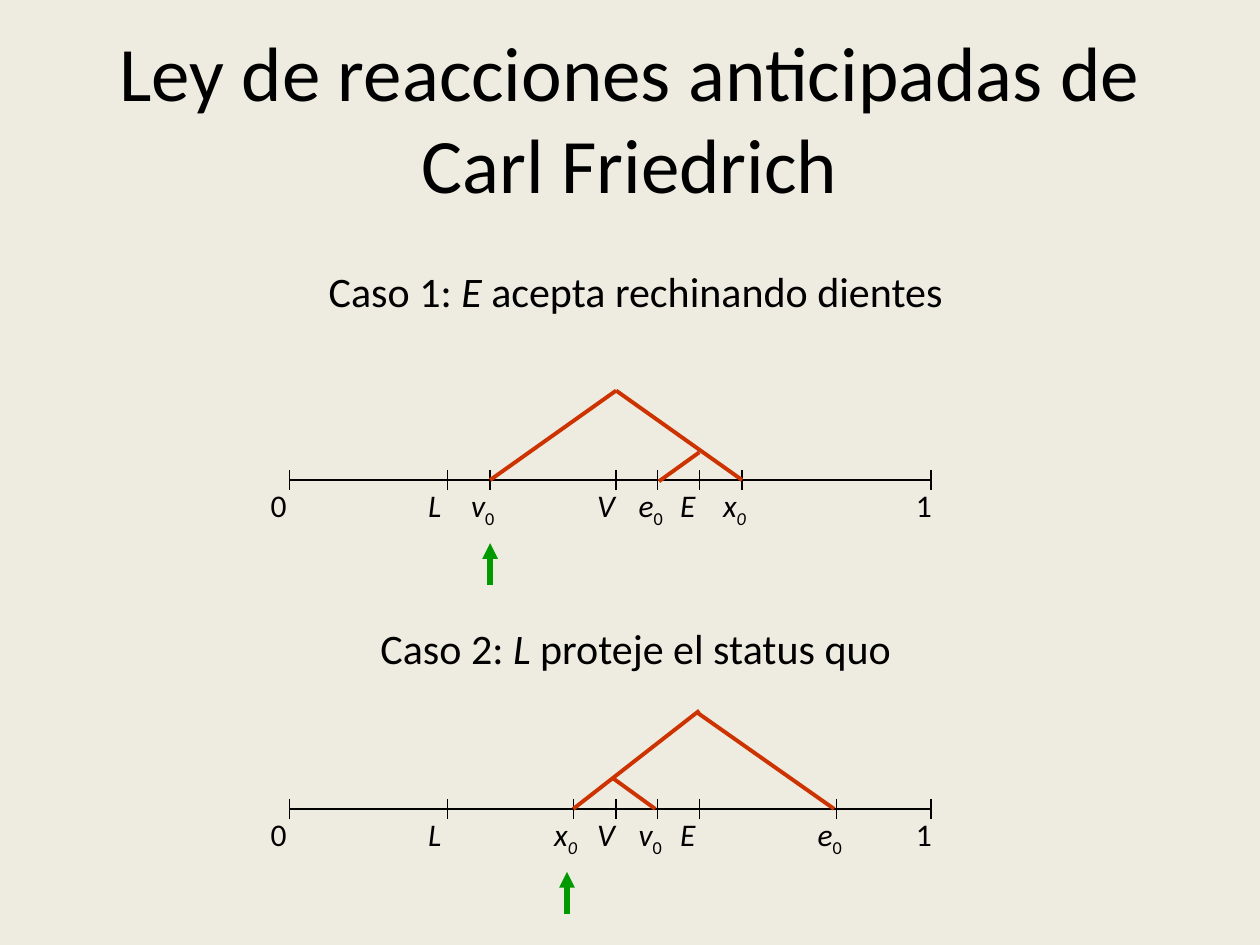
from lxml.etree import SubElement
from pptx import Presentation
from pptx.dml.color import RGBColor
from pptx.enum.shapes import MSO_CONNECTOR
from pptx.enum.text import MSO_ANCHOR, PP_ALIGN
from pptx.oxml.ns import qn
from pptx.util import Inches, Pt

INK = "000000"
RED = "CC3300"
GREEN = "009900"
PAPER = "EEECE1"
FONT = "Calibri"
START, END = 2.3, 7.39
TICK = 0.08


def color(code):
    """Turn a hex string into a colour."""
    return RGBColor.from_string(code)


def add_line(shapes, start, end, code, width, arrow=False):
    """Draw a straight line, with an arrowhead at its end if asked."""
    line = shapes.add_connector(
        MSO_CONNECTOR.STRAIGHT, *[Inches(n) for n in (*start, *end)]
    )
    line.line.color.rgb = color(code)
    line.line.width = Pt(width)
    props = line._element.spPr
    if arrow:
        SubElement(props.find(qn("a:ln")), qn("a:tailEnd"), type="triangle")
    SubElement(props, qn("a:effectLst"))


def add_text(shapes, box, parts, size, align=PP_ALIGN.LEFT, anchor=MSO_ANCHOR.TOP):
    """Write one paragraph from (text, italic, subscript) parts."""
    frame = shapes.add_textbox(*[Inches(n) for n in box]).text_frame
    frame.word_wrap = True
    frame.vertical_anchor = anchor
    para = frame.paragraphs[0]
    para.alignment = align
    for text, italic, sub in parts:
        run = para.add_run()
        run.text = text
        run.font.name = FONT
        run.font.size = Pt(size)
        run.font.italic = italic
        run.font.color.rgb = color(INK)
        if sub:
            run._r.get_or_add_rPr().set("baseline", "-25000")


def add_mark(shapes, x, y, name, shift=0.25):
    """Put a tick on the axis with its label, such as V or e0, below."""
    add_line(shapes, (x, y - TICK), (x, y + TICK), INK, 0.75)
    parts = [(name[0], name.isalnum() and not name.isdigit(), False)]
    if len(name) > 1:
        parts.append((name[1:], name[0] == "x", True))
    add_text(shapes, (x - shift, y, 0.5, 0.4), parts, 18)


def add_axis(slide, y, marks, sides, arrow):
    """Group an axis with its marks, red sides and green arrow."""
    shapes = slide.shapes.add_group_shape().shapes
    add_line(shapes, (START, y), (END, y), INK, 1.5)
    add_mark(shapes, START, y, "0")
    add_mark(shapes, END, y, "1", 0.22)
    for name, x in marks.items():
        add_mark(shapes, x, y, name)
    for start, end in sides:
        add_line(shapes, start, end, RED, 2.25)
    add_line(shapes, (arrow, y + 0.83), (arrow, y + 0.5), GREEN, 3, True)


def add_case(slide, y, lead, actor, rest):
    """Write the centred heading of a case."""
    parts = [(lead, False, False), (actor, True, False), (rest, False, False)]
    add_text(slide.shapes, (1.17, y, 7.75, 0.5), parts, 24, PP_ALIGN.CENTER)


def main():
    """Build the slide and save it."""
    deck = Presentation()
    deck.slide_width, deck.slide_height = Inches(10), Inches(7.5)
    slide = deck.slides.add_slide(deck.slide_layouts[6])
    slide.background.fill.solid()
    slide.background.fill.fore_color.rgb = color(PAPER)

    title = "Ley de reacciones anticipadas de Carl Friedrich"
    add_text(slide.shapes, (0.5, 0.3, 9, 1.25), [(title, False, False)], 44,
             PP_ALIGN.CENTER, MSO_ANCHOR.MIDDLE)

    fixed = {"L": 3.55, "V": 4.89, "E": 5.55}
    add_case(slide, 2.06, "Caso 1: ", "E", " acepta rechinando dientes")
    add_axis(slide, 3.81, {**fixed, "v0": 3.89, "e0": 5.22, "x0": 5.89},
             [((3.89, 3.81), (4.89, 3.1)), ((5.89, 3.81), (4.89, 3.1)),
              ((5.23, 3.82), (5.55, 3.59))], 3.89)

    add_case(slide, 4.89, "Caso 2: ", "L", " proteje el status quo")
    add_axis(slide, 6.42, {**fixed, "x0": 4.55, "v0": 5.22, "e0": 6.64},
             [((4.55, 6.42), (5.55, 5.64)), ((6.62, 6.42), (5.54, 5.66)),
              ((5.2, 6.42), (4.87, 6.18))], 4.5)

    deck.save("out.pptx")


if __name__ == "__main__":
    main()
